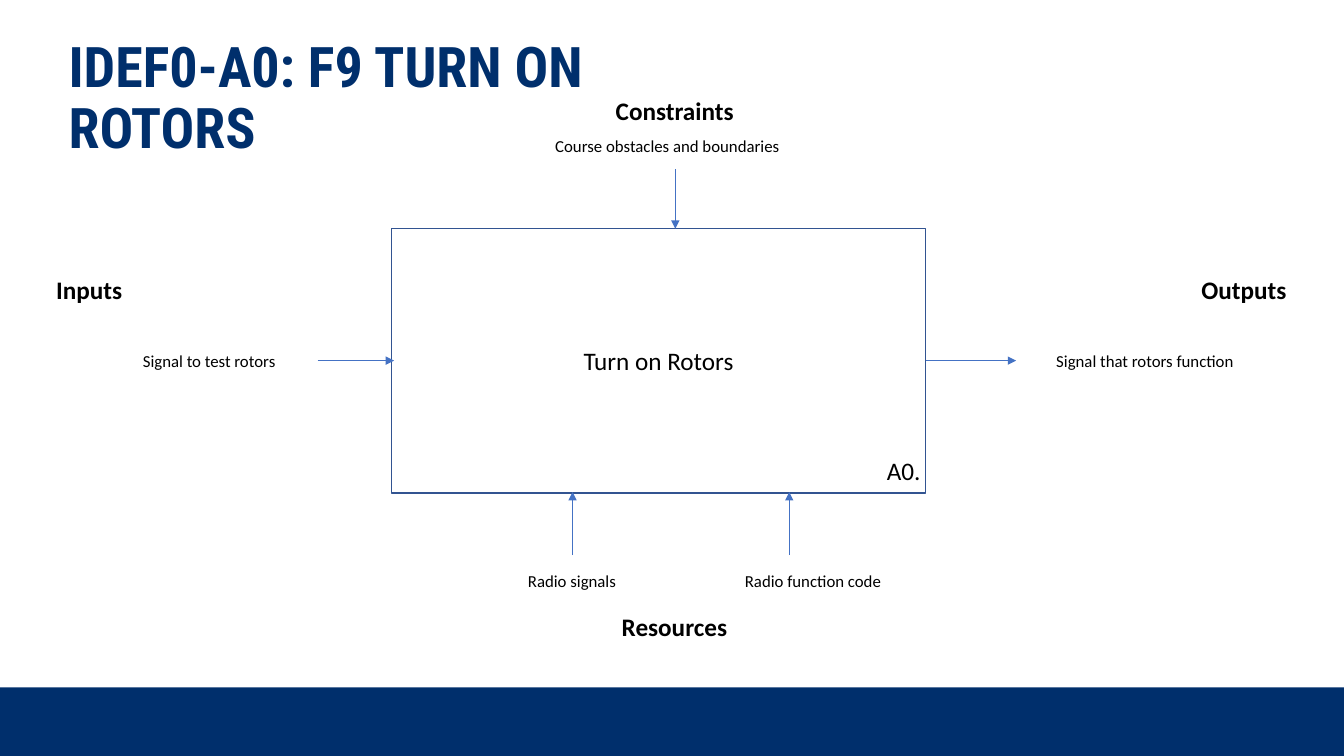
from lxml.etree import SubElement
from pptx import Presentation
from pptx.dml.color import RGBColor
from pptx.enum.shapes import MSO_CONNECTOR, MSO_SHAPE
from pptx.enum.text import MSO_ANCHOR, MSO_AUTO_SIZE, PP_ALIGN
from pptx.oxml.ns import qn
from pptx.util import Pt

COLORS = {
    "navy": "002F6C",
    "border": "325491",
    "arrow": "4472C4",
    "white": "FFFFFF",
    "black": "000000",
}


def color(name):
    return RGBColor.from_string(COLORS[name])


def write(frame, text, size=12, bold=False, font="Calibri", ink="black", align=PP_ALIGN.LEFT):
    para = frame.paragraphs[0]
    para.alignment = align
    span = para.add_run()
    span.text = text
    span.font.name = font
    span.font.size = Pt(size)
    span.font.bold = bold
    span.font.color.rgb = color(ink)


deck = Presentation()
deck.slide_width, deck.slide_height = Pt(960), Pt(540)
page = deck.slides.add_slide(deck.slide_layouts[5])

# Footer band and function box
blocks = [
    (0, 491, 960, 49, "navy", None),
    (279.5, 163.3, 381.8, 188.8, "white", "border"),
]
for left, top, width, height, fill, outline in blocks:
    block = page.shapes.add_shape(
        MSO_SHAPE.RECTANGLE, Pt(left), Pt(top), Pt(width), Pt(height))
    block.shadow.inherit = False
    block.fill.solid()
    block.fill.fore_color.rgb = color(fill)
    if outline:
        block.line.color.rgb = color(outline)
        block.line.width = Pt(1)
        block.text_frame.vertical_anchor = MSO_ANCHOR.MIDDLE
        write(block.text_frame, "Turn on Rotors", size=18, align=PP_ALIGN.CENTER)
    else:
        block.line.fill.background()

# Title
title = page.shapes.title
title.left, title.top, title.width, title.height = Pt(41.8), Pt(24.5), Pt(521.3), Pt(44)
title.text_frame.word_wrap = True
title.text_frame.auto_size = MSO_AUTO_SIZE.NONE
title.text_frame.vertical_anchor = MSO_ANCHOR.TOP
write(title.text_frame, "IDEF0-A0: F9 TURN ON ROTORS", size=40, bold=True,
      font="Roboto Condensed", ink="navy")
title.text_frame.paragraphs[0].line_spacing = 0.9

# Labels: text, left, top, width, size, bold, wrap
labels = [
    ("Constraints", 432.7, 64.4, 99.4, 18, True, False),
    ("Inputs", 33.1, 192.6, 61.9, 18, True, False),
    ("Outputs", 851, 192.6, 75.6, 18, True, False),
    ("Resources", 437, 433, 90, 18, True, False),
    ("A0.", 626.4, 322, 38.9, 18, False, False),
    ("Course obstacles and boundaries", 389.5, 93.6, 185, 12, False, True),
    ("Signal to test rotors", 95, 247.2, 131.8, 12, False, True),
    ("Signal that rotors function", 747.4, 247.2, 170.6, 12, False, True),
    ("Radio signals", 370, 404.2, 78.5, 12, False, False),
    ("Radio function code", 525, 404.2, 113, 12, False, False),
]
for text, left, top, width, size, bold, wrap in labels:
    height = 29 if size == 18 else 21.8
    box = page.shapes.add_textbox(Pt(left), Pt(top), Pt(width), Pt(height))
    box.text_frame.word_wrap = wrap
    box.text_frame.auto_size = MSO_AUTO_SIZE.SHAPE_TO_FIT_TEXT
    write(box.text_frame, text, size=size, bold=bold)

# Arrows: start x, start y, end x, end y
arrows = [
    (226.8, 257.6, 281.5, 257.6),
    (661.5, 257.6, 725.8, 257.6),
    (482.4, 121, 482.4, 163.4),
    (409, 396.6, 409, 351.5),
    (563.8, 396.6, 563.8, 351.5),
]
for ends in arrows:
    arrow = page.shapes.add_connector(MSO_CONNECTOR.STRAIGHT, *map(Pt, ends))
    arrow.line.color.rgb = color("arrow")
    arrow.line.width = Pt(0.5)
    SubElement(arrow.line._get_or_add_ln(), qn("a:tailEnd"), type="triangle")
    SubElement(arrow._element.spPr, qn("a:effectLst"))

deck.save("out.pptx")
